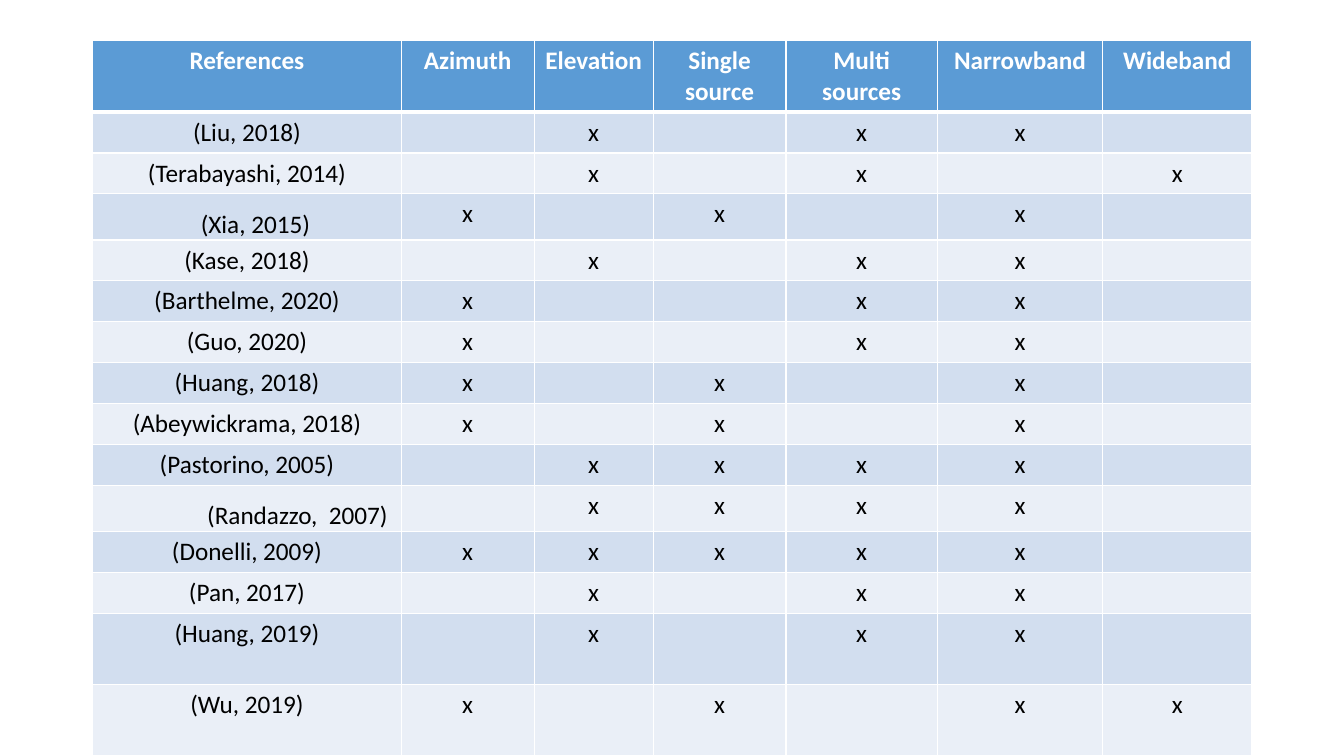
from lxml import etree
from pptx import Presentation
from pptx.dml.color import RGBColor
from pptx.enum.text import PP_ALIGN
from pptx.oxml.ns import qn
from pptx.util import Cm, Pt

CENTER, LEFT = PP_ALIGN.CENTER, PP_ALIGN.LEFT
COLORS = {
    "header": "5B9BD5",
    "odd": "D2DEEF",
    "even": "EAEFF7",
    "border": "FFFFFF",
    "header_text": "FFFFFF",
    "text": "000000",
}
FONT = "Calibri"
COLUMN_WIDTHS = [7.77, 3.35, 3, 3.35, 3.81, 4.17, 3.76]
HEADINGS = ["References", "Azimuth", "Elevation", "Single source",
            "Multi sources", "Narrowband", "Wideband"]
STUDIES = [
    ("(Liu, 2018)", "-x-xx-"),
    ("(Terabayashi, 2014)", "-x-x-x"),
    ("(Xia, 2015)", "x-x-x-"),
    ("(Kase, 2018)", "-x-xx-"),
    ("(Barthelme, 2020)", "x--xx-"),
    ("(Guo, 2020)", "x--xx-"),
    ("(Huang, 2018)", "x-x-x-"),
    ("(Abeywickrama, 2018)", "x-x-x-"),
    ("(Pastorino, 2005)", "-xxxx-"),
    ("(Randazzo,  2007)", "-xxxx-"),
    ("(Donelli, 2009)", "xxxxx-"),
    ("(Pan, 2017)", "-x-xx-"),
    ("(Huang, 2019)", "-x-xx-"),
    ("(Wu, 2019)", "x-x-xx"),
]
INDENTED = {"(Xia, 2015)": LEFT, "(Randazzo,  2007)": CENTER}
ROW_HEIGHT, INDENTED_HEIGHT, TALL_HEIGHT = 1.03, 1.16, 1.8
TALL_ROWS = {0, len(STUDIES) - 1, len(STUDIES)}


def set_borders(cell, top, bottom):
    properties = cell._tc.get_or_add_tcPr()
    sides = [("a:lnL", 1), ("a:lnR", 1), ("a:lnT", top), ("a:lnB", bottom)]
    for position, (side, width) in enumerate(sides):
        line = etree.Element(qn(side), w=str(Pt(width)))
        fill = etree.SubElement(line, qn("a:solidFill"))
        etree.SubElement(fill, qn("a:srgbClr"), val=COLORS["border"])
        properties.insert(position, line)


deck = Presentation()
deck.slide_width, deck.slide_height = Cm(33.87), Cm(19.05)
page = deck.slides.add_slide(deck.slide_layouts[6])

rows = [HEADINGS]
for study, marks in STUDIES:
    rows.append([study] + [mark.replace("-", "") for mark in marks])

frame = page.shapes.add_table(len(rows), len(HEADINGS), Cm(2.34), Cm(1.02),
                              Cm(sum(COLUMN_WIDTHS)), Cm(ROW_HEIGHT * len(rows)))
table = frame.table
for column, width in zip(table.columns, COLUMN_WIDTHS):
    column.width = Cm(width)

for row_index, texts in enumerate(rows):
    is_header = row_index == 0
    height = INDENTED_HEIGHT if texts[0] in INDENTED else ROW_HEIGHT
    table.rows[row_index].height = Cm(TALL_HEIGHT if row_index in TALL_ROWS else height)
    band = "header" if is_header else "odd" if row_index % 2 else "even"
    for column_index, text in enumerate(texts):
        cell = table.cell(row_index, column_index)
        cell.fill.solid()
        cell.fill.fore_color.rgb = RGBColor.from_string(COLORS[band])
        set_borders(cell, 3 if row_index == 1 else 1, 3 if is_header else 1)
        para = cell.text_frame.paragraphs[0]
        para.alignment = INDENTED.get(text, CENTER)
        if text in INDENTED:
            cell.margin_left = cell.margin_right = Cm(0.18)
            cell.margin_top = cell.margin_bottom = 0
            para.line_spacing = 1.5
            para.space_after = Pt(6)
            indents = para._p.get_or_add_pPr()
            indents.set("marL", str(Cm(1.27)))
            indents.set("indent", str(Cm(1.27)))
        if text:
            span = para.add_run()
            span.text = text
            span.font.name = FONT
            span.font.size = Pt(18)
            span.font.bold = is_header
            span.font.color.rgb = RGBColor.from_string(
                COLORS["header_text" if is_header else "text"])

deck.save("out.pptx")
